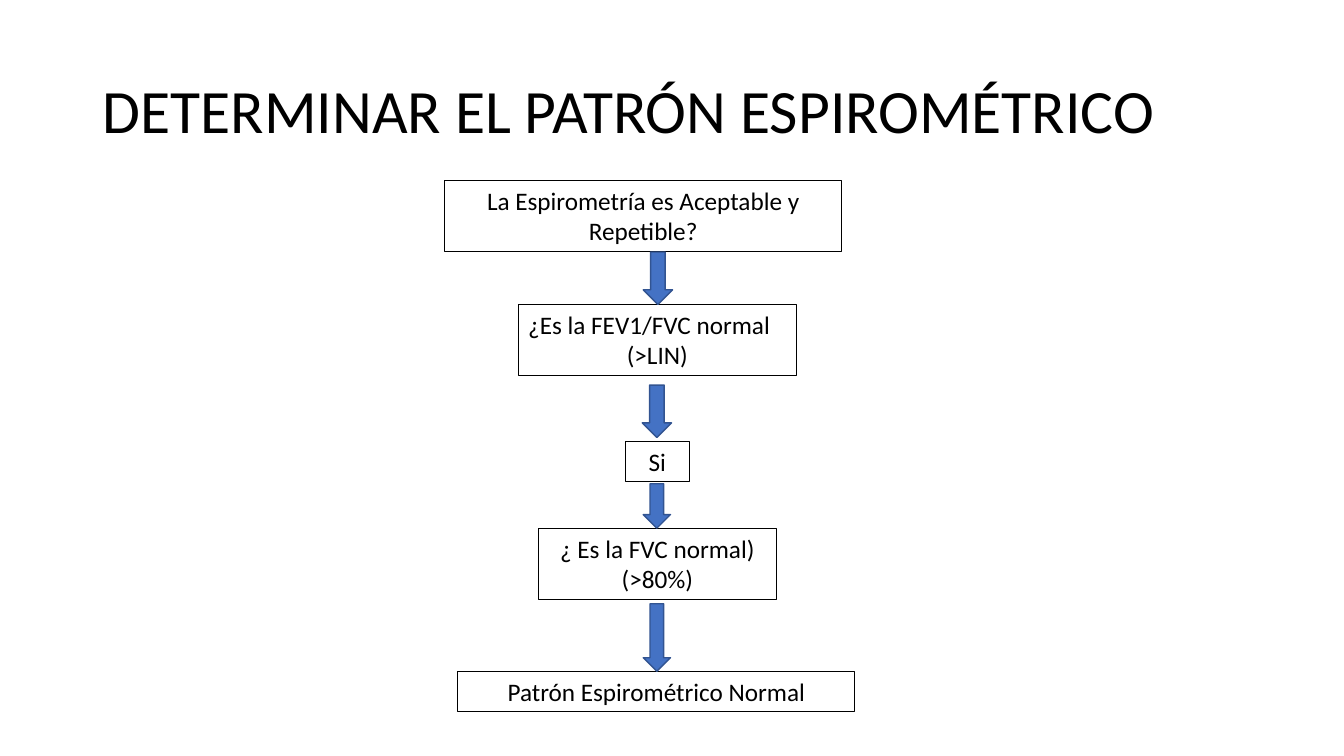
"""Builds the slide with the spirometry pattern flowchart."""
from typing import NamedTuple

from pptx import Presentation, util as u
from pptx.dml.color import RGBColor
from pptx.enum import shapes, text

BLACK = RGBColor(0x00, 0x00, 0x00)
BLUE = RGBColor(0x44, 0x72, 0xC4)
NAVY = RGBColor(0x32, 0x54, 0x91)
LEFT, MID = text.PP_ALIGN.LEFT, text.PP_ALIGN.CENTER


class Step(NamedTuple):
    left: float
    top: float
    width: float
    height: float
    lines: tuple[str, ...]
    align: text.PP_ALIGN = MID


class Arrow(NamedTuple):
    left: float
    top: float
    width: float
    height: float


STEPS = [
    Step(4.41, 1.79, 3.94, 0.71, ("La Espirometría es Aceptable y Repetible?",)),
    Step(5.14, 3.02, 2.76, 0.71, ("¿Es la FEV1/FVC normal", "(>LIN)"), LEFT),
    Step(6.2, 4.38, 0.64, 0.4, ("Si",)),
    Step(5.34, 5.24, 2.36, 0.71, ("¿ Es la FVC normal)", "(>80%)")),
    Step(4.54, 6.66, 3.94, 0.4, ("Patrón Espirométrico Normal",)),
]
ARROWS = [
    Arrow(6.38, 2.5, 0.29, 0.52),
    Arrow(6.37, 3.82, 0.29, 0.52),
    Arrow(6.38, 4.8, 0.27, 0.44),
    Arrow(6.38, 5.99, 0.27, 0.67),
]


def style(item, **looks) -> None:
    for name, value in looks.items():
        setattr(item, name, value)


def place(item, left: float, top: float, width: float, height: float) -> None:
    style(item, left=u.Inches(left), top=u.Inches(top),
          width=u.Inches(width), height=u.Inches(height))


def write(par, words: str, size: int) -> None:
    par.text = words
    style(par.font, name="Calibri", size=u.Pt(size))
    par.font.color.rgb = BLACK


def add_shape(slide, kind, spot: Step | Arrow, line: RGBColor, weight: float):
    shape = slide.shapes.add_shape(kind, *map(u.Inches, spot[:4]))
    shape.shadow.inherit = False
    shape.line.color.rgb = line
    shape.line.width = u.Pt(weight)
    return shape


def add_step(slide, step: Step) -> None:
    shape = add_shape(slide, shapes.MSO_SHAPE.RECTANGLE, step, BLACK, 0.75)
    shape.fill.background()
    frame = shape.text_frame
    style(frame, word_wrap=True, vertical_anchor=text.MSO_ANCHOR.TOP,
          auto_size=text.MSO_AUTO_SIZE.SHAPE_TO_FIT_TEXT)
    for rank, words in enumerate(step.lines):
        par = frame.add_paragraph() if rank else frame.paragraphs[0]
        par.alignment = MID if rank else step.align
        write(par, words, 18)


def add_arrow(slide, arrow: Arrow) -> None:
    shape = add_shape(slide, shapes.MSO_SHAPE.DOWN_ARROW, arrow, NAVY, 1)
    shape.fill.solid()
    shape.fill.fore_color.rgb = BLUE


def add_title(slide, words: str) -> None:
    title = slide.shapes.title
    place(title, 0.92, 0.4, 11.5, 1.45)
    style(title.text_frame, word_wrap=True, vertical_anchor=text.MSO_ANCHOR.MIDDLE)
    par = title.text_frame.paragraphs[0]
    write(par, words, 44)
    style(par, alignment=LEFT, line_spacing=0.9)


def main() -> None:
    deck = Presentation()
    style(deck, slide_width=u.Inches(13.33), slide_height=u.Inches(7.5))
    slide = deck.slides.add_slide(deck.slide_layouts[5])
    add_title(slide, "DETERMINAR EL PATRÓN ESPIROMÉTRICO")
    for step in STEPS:
        add_step(slide, step)
    for arrow in ARROWS:
        add_arrow(slide, arrow)
    deck.save("out.pptx")


if __name__ == "__main__":
    main()
